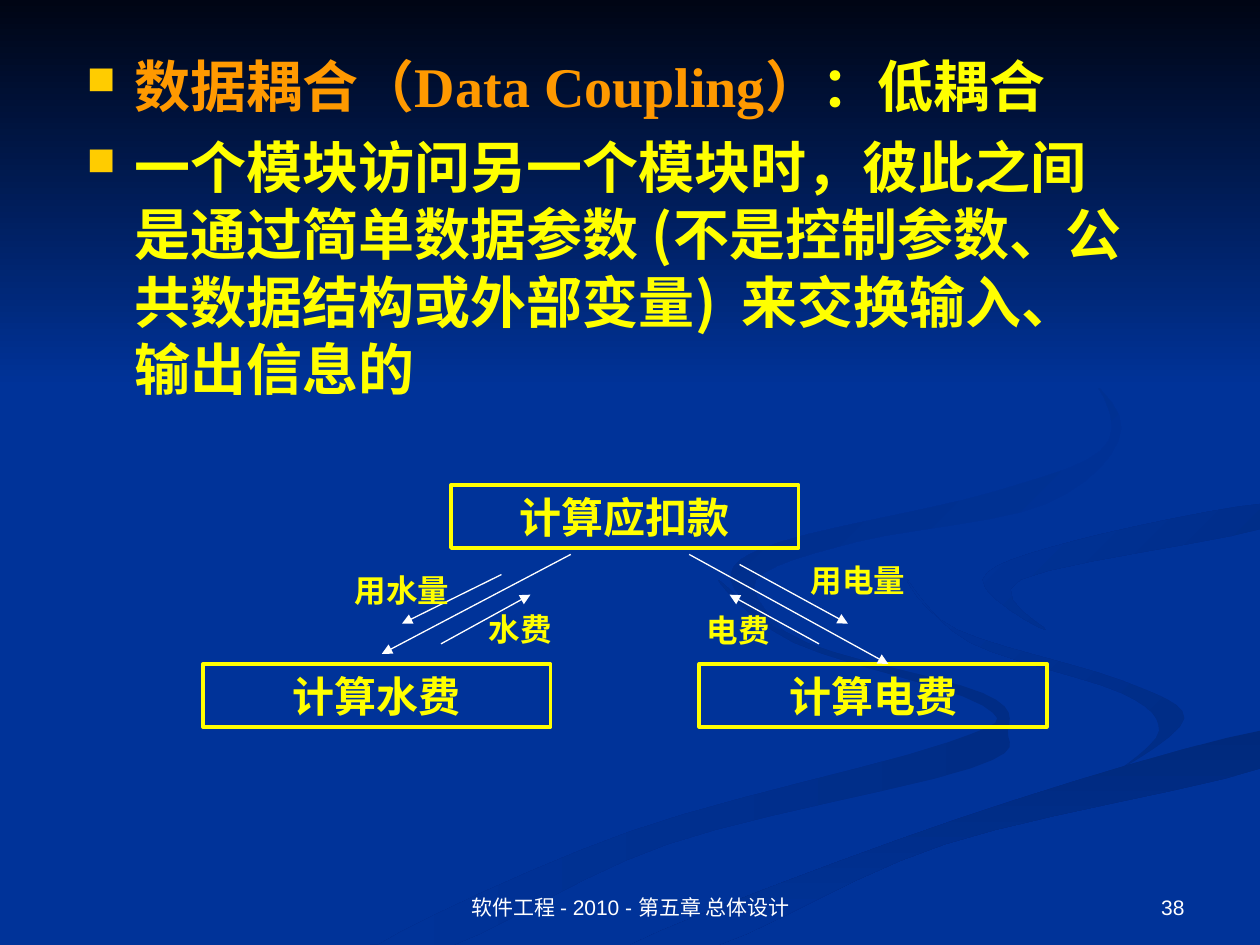
from lxml.etree import SubElement
from pptx import Presentation
from pptx.dml.color import RGBColor
from pptx.enum.shapes import MSO_CONNECTOR as CONN, MSO_SHAPE as SHAPE
from pptx.enum.text import MSO_ANCHOR as ANCHOR, PP_ALIGN as ALIGN
from pptx.oxml.ns import qn
from pptx.util import Inches, Pt

BLUE = RGBColor(0x00, 0x33, 0x99)
NIGHT = RGBColor(0x00, 0x05, 0x14)
SHADE = RGBColor(0x00, 0x2C, 0x85)
DEEP = RGBColor(0x00, 0x29, 0x7C)
YELLOW = RGBColor(0xFF, 0xFF, 0x00)
ORANGE = RGBColor(0xFF, 0x99, 0x00)
WHITE = RGBColor(0xFF, 0xFF, 0xFF)
SERIF, SANS, CJK = "Times New Roman", "Arial", "Noto Sans CJK SC"

# Background ribbons: start colour, end colour, gradient angle, corner points
RIBBONS = [
    (SHADE, BLUE, 180, [
        (7.8, 5.5), (6.4, 5.1), (5.7, 4.6), (6.3, 5.1), (7.8, 5.6),
        (7.5, 5.9), (5, 6.6), (3, 7.5), (3.6, 7.5), (5.3, 6.7),
        (7.7, 6.1), (8, 5.8)]),
    (SHADE, BLUE, 135, [
        (9.4, 5.7), (8.9, 5.4), (7.6, 5), (7.2, 4.6), (7.7, 5.1),
        (8.9, 5.5), (9.2, 5.8), (8.9, 6.1)]),
    (DEEP, BLUE, 270, [
        (5, 7.5), (5.7, 7.5), (7.5, 6.7), (10, 6.1), (10, 5.8), (7.6, 6.5)]),
    (SHADE, BLUE, 135, [
        (7.8, 4.6), (8.3, 5), (8.1, 4.6), (10, 4.2), (10, 4), (8.5, 4.3)]),
    (BLUE, SHADE, 135, [
        (6.8, 4.3), (8.3, 4), (8.9, 3.4), (8.4, 2.8), (7.6, 2.3),
        (8.5, 2.8), (8.8, 3.5), (7.9, 3.9), (6.2, 4.3), (5.8, 4.6),
        (6.2, 5), (6, 4.6)]),
]
MODULES = [("计算应扣款", 3.58, 3.85), ("计算水费", 1.61, 5.27), ("计算电费", 5.55, 5.27)]
ARROWS = [
    ((4.53, 4.4), (3.03, 5.19)), ((5.47, 4.4), (7.05, 5.27)),
    ((3.98, 4.56), (3.19, 4.95)), ((5.87, 4.48), (6.73, 4.95)),
    ((6.5, 5.11), (5.79, 4.72)), ((3.5, 5.11), (4.21, 4.72)),
]
LABELS = [("用水量", 2.64, 4.48), ("水费", 3.58, 4.79),
          ("电费", 5.31, 4.8), ("用电量", 6.26, 4.4)]
BODY = [
    [("数据耦合（Data Coupling）", ORANGE, SERIF), ("：低耦合", YELLOW, SERIF)],
    [("一个模块访问另一个模块时，彼此之间是通过简单数据参数 (不是控制参数、"
      "公共数据结构或外部变量)  来交换输入、输出信息的", YELLOW, CJK)],
]


def smooth(points, steps=6):
    """Return a closed Catmull-Rom curve through the points, kept on the slide."""
    curve = []
    for i in range(len(points)):
        quad = [points[(i + k) % len(points)] for k in (-1, 0, 1, 2)]
        for t in (n / steps for n in range(steps)):
            x, y = (b + t / 2 * (c - a + t * (2 * a - 5 * b + 4 * c - d
                                              + t * (3 * (b - c) + d - a)))
                    for a, b, c, d in zip(*quad))
            curve.append((Inches(min(x, 10)), Inches(min(y, 7.5))))
    return curve


class Deck:
    def __init__(self):
        self.prs = Presentation()
        self.prs.slide_width, self.prs.slide_height = Inches(10), Inches(7.5)
        self.s = self.prs.slides.add_slide(self.prs.slide_layouts[6])
        fill = self.s.background.fill
        fill.solid()
        fill.fore_color.rgb = BLUE

    def shade(self, sp, start, end, angle):
        sp.shadow.inherit = False
        sp.line.fill.background()
        sp.fill.gradient()
        sp.fill.gradient_angle = angle
        for stop, color in zip(sp.fill.gradient_stops, (start, end)):
            stop.color.rgb = color

    def ribbon(self, start, end, angle, points):
        first, *rest = smooth(points)
        builder = self.s.shapes.build_freeform(*first)
        builder.add_line_segments(rest, close=True)
        self.shade(builder.convert_to_shape(), start, end, angle)

    def box(self, x, y, w, h):
        return self.s.shapes.add_shape(SHAPE.RECTANGLE, *map(Inches, (x, y, w, h)))

    def run(self, p, text, color, **fmt):
        r = p.add_run()
        r.text = text
        r.font.color.rgb = color
        for name, value in fmt.items():
            setattr(r.font, name, value)

    def text(self, text, box, color=YELLOW, align=ALIGN.CENTER,
             anchor=ANCHOR.TOP, **fmt):
        tf = self.s.shapes.add_textbox(*map(Inches, box)).text_frame
        tf.word_wrap, tf.vertical_anchor = True, anchor
        tf.paragraphs[0].alignment = align
        self.run(tf.paragraphs[0], text, color, **fmt)

    def bullets(self, paragraphs, box):
        tf = self.s.shapes.add_textbox(*map(Inches, box)).text_frame
        tf.word_wrap = True
        for i, runs in enumerate(paragraphs):
            p = tf.add_paragraph() if i else tf.paragraphs[0]
            pPr = p._p.get_or_add_pPr()
            pPr.set("marL", str(Inches(0.38)))
            pPr.set("indent", str(-Inches(0.38)))
            if i:
                p.space_before = Pt(8)
            SubElement(SubElement(pPr, qn("a:buClr")), qn("a:srgbClr"), val="FFCC00")
            SubElement(pPr, qn("a:buSzPct"), val="70000")
            SubElement(pPr, qn("a:buChar"), char="■")
            for text, color, font in runs:
                self.run(p, text, color, name=font, size=Pt(32), bold=True)

    def module(self, text, x, y):
        sp = self.box(x, y, 2.76, 0.5)
        sp.shadow.inherit = False
        sp.fill.background()
        sp.line.color.rgb, sp.line.width = YELLOW, Pt(2)
        p = sp.text_frame.paragraphs[0]
        p.alignment = ALIGN.CENTER
        self.run(p, text, YELLOW, name=SERIF, size=Pt(24), bold=True)

    def arrow(self, start, end):
        c = self.s.shapes.add_connector(CONN.STRAIGHT, *map(Inches, start + end))
        c.line.color.rgb, c.line.width = WHITE, Pt(0.75)
        SubElement(c.line._get_or_add_ln(), qn("a:tailEnd"), type="triangle")
        SubElement(c._element.spPr, qn("a:effectLst"))


def main():
    deck = Deck()
    for ribbon in RIBBONS:
        deck.ribbon(*ribbon)
    deck.shade(deck.box(0, 0, 10, 3.08), NIGHT, BLUE, 270)
    deck.bullets(BODY, (0.59, 0.36, 8.5, 3.08))
    for module in MODULES:
        deck.module(*module)
    for arrow in ARROWS:
        deck.arrow(*arrow)
    for text, x, y in LABELS:
        deck.text(text, (x, y, 1.1, 0.4), name=SERIF, size=Pt(18), bold=True)
    footer = {"color": WHITE, "anchor": ANCHOR.BOTTOM, "name": SANS, "size": Pt(12)}
    deck.text("软件工程 - 2010 - 第五章 总体设计", (3.42, 6.83, 3.17, 0.52), **footer)
    deck.text("38", (7.17, 6.83, 2.33, 0.52), align=ALIGN.RIGHT, **footer)
    deck.prs.save("out.pptx")


if __name__ == "__main__":
    main()
